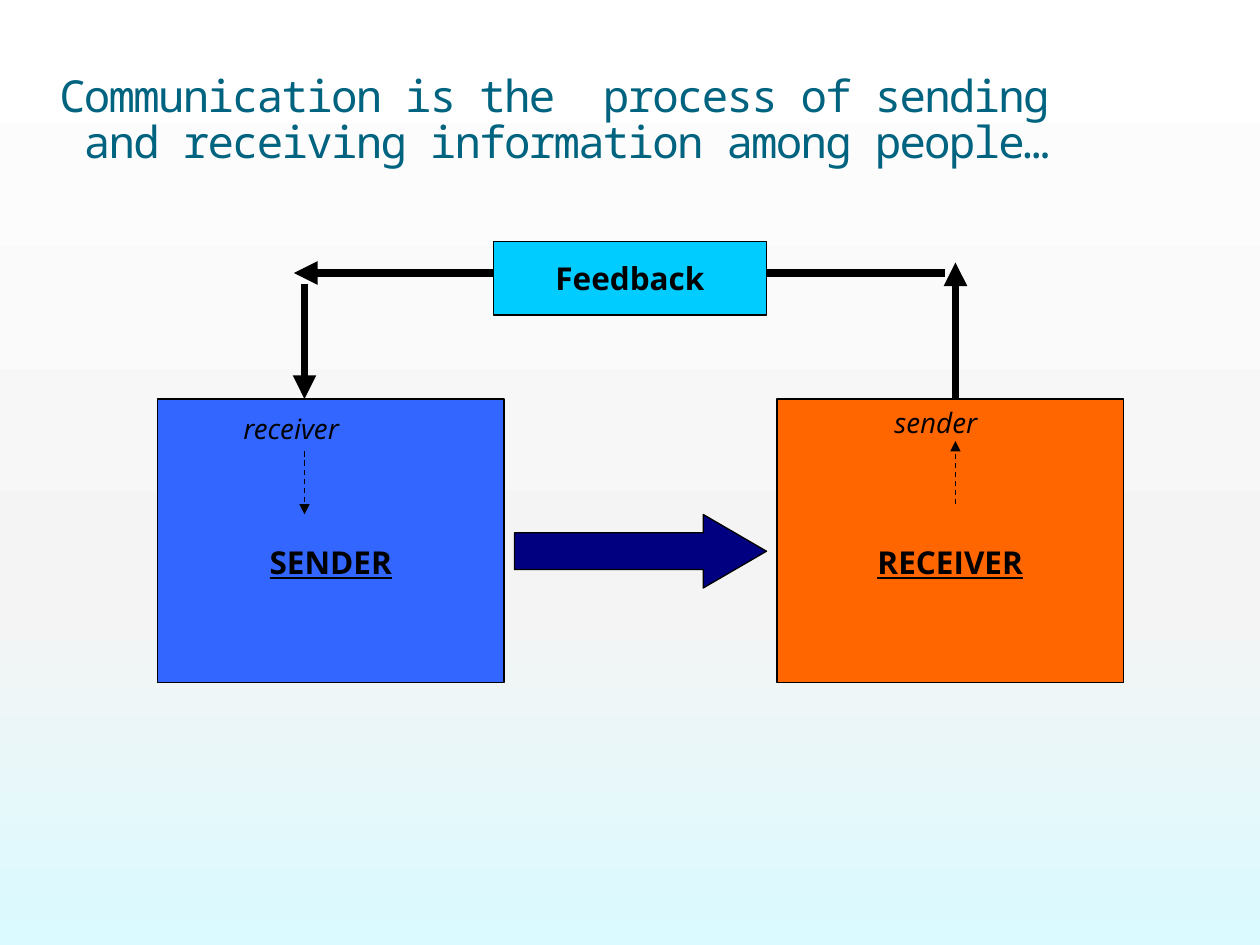
from copy import deepcopy

from pptx import Presentation
from pptx.dml.color import RGBColor
from pptx.enum.dml import MSO_LINE
from pptx.enum.shapes import MSO_CONNECTOR, MSO_SHAPE
from pptx.enum.text import MSO_ANCHOR, MSO_AUTO_SIZE, PP_ALIGN
from pptx.oxml.ns import qn
from pptx.util import Inches, Pt

RECT, RIGHT_ARROW = MSO_SHAPE.RECTANGLE, MSO_SHAPE.RIGHT_ARROW
STRAIGHT, DASH = MSO_CONNECTOR.STRAIGHT, MSO_LINE.DASH
CENTER = PP_ALIGN.CENTER
MIDDLE, BOTTOM = MSO_ANCHOR.MIDDLE, MSO_ANCHOR.BOTTOM
NO_FIT = MSO_AUTO_SIZE.NONE

BLACK = RGBColor(0x00, 0x00, 0x00)
TEAL = RGBColor(0x00, 0x63, 0x7F)
BLUE = RGBColor(0x33, 0x66, 0xFF)
ORANGE = RGBColor(0xFF, 0x66, 0x00)
NAVY = RGBColor(0x00, 0x00, 0x80)
CYAN = RGBColor(0x00, 0xCC, 0xFF)
BACKDROP = [(0, RGBColor(0xFF, 0xFF, 0xFF)),
            (0.65, RGBColor(0xF4, 0xF4, 0xF4)),
            (1, RGBColor(0xDA, 0xFA, 0xFF))]

TITLE_FONT, BODY_FONT = "Noto Sans Mono", "Open Sans"
CELL = Inches(1) / 12  # the slide is a grid of 120 columns by 90 rows
LEFT_LANE, RIGHT_LANE = 29, 91
BOX_TOP, BOX_W, BOX_H = 38, 33, 27


def grid(*cells):
    """Turn grid cells into lengths."""
    return [round(c * CELL) for c in cells]


def style_run(r, size, color=BLACK, font=BODY_FONT, bold=False, italic=False,
              underline=False):
    """Format one run."""
    f = r.font
    f.name, f.size, f.color.rgb = font, Pt(size), color
    f.bold, f.italic, f.underline = bold, italic, underline


def paint_background(s):
    """Fill the background from top to bottom."""
    fill = s.background.fill
    fill.gradient()
    fill.gradient_angle = 270
    stops = s.element.find(".//" + qn("a:gsLst"))
    stops.append(deepcopy(stops[-1]))
    for stop, (position, color) in zip(fill.gradient_stops, BACKDROP):
        stop.position, stop.color.rgb = position, color


def add_title(s, text):
    """Place the title at the bottom of its band."""
    sp = s.shapes.title
    sp.left, sp.top, sp.width, sp.height = grid(0, 0, 108, 16)
    tf = sp.text_frame
    tf.auto_size, tf.vertical_anchor, tf.word_wrap = NO_FIT, BOTTOM, True
    tf.margin_top = tf.margin_bottom = 0
    tf.text = text
    p = tf.paragraphs[0]
    p.alignment, p.line_spacing, p.space_before = CENTER, 0.87, Pt(0)
    for r in p.runs:
        style_run(r, 25.2, TEAL, TITLE_FONT)
        r.font._element.set("spc", "-100")


def add_block(s, kind, cells, fill, text="", underline=False, drop=0):
    """Add an outlined shape; drop adds space above its label."""
    sp = s.shapes.add_shape(kind, *grid(*cells))
    sp.shadow.inherit = False
    sp.fill.solid()
    sp.fill.fore_color.rgb = fill
    sp.line.color.rgb, sp.line.width = BLACK, Pt(0.75)
    if text:
        tf = sp.text_frame
        tf.vertical_anchor, tf.word_wrap = MIDDLE, False
        tf.margin_top = Inches(0.05 + drop)
        tf.text = text
        p = tf.paragraphs[0]
        p.alignment = CENTER
        style_run(p.runs[0], 18, bold=True, underline=underline)
    return sp


def add_role(s, text, left, top):
    """Add the italic name of a second role."""
    tf = s.shapes.add_textbox(*grid(left, top, 14, 4.4)).text_frame
    tf.word_wrap = True
    tf.text = text
    style_run(tf.paragraphs[0].runs[0], 16, italic=True)


def add_arrow(s, x1, y1, x2, y2, dashed=False):
    """Add a thick arrow, or a thin dashed one."""
    cx = s.shapes.add_connector(STRAIGHT, *grid(x1, y1, x2, y2))
    cx.line.color.rgb, cx.line.width = BLACK, Pt(0.75 if dashed else 4.5)
    if dashed:
        cx.line.dash_style = DASH
    ln = cx.line._get_or_add_ln()
    ln.append(ln.makeelement(qn("a:tailEnd"), {"type": "triangle"}))
    sp_pr = ln.getparent()
    sp_pr.append(sp_pr.makeelement(qn("a:effectLst"), {}))


def main():
    """Build the communication loop."""
    prs = Presentation()
    prs.slide_width, prs.slide_height = Inches(10), Inches(7.5)
    s = prs.slides.add_slide(prs.slide_layouts[5])
    paint_background(s)

    add_arrow(s, RIGHT_LANE, BOX_TOP + 1, RIGHT_LANE, 25)
    add_title(s, "Communication is the  process of sending \v"
                 "and receiving information among people…")
    for left, color, text in [(15, BLUE, "SENDER"), (74, ORANGE, "RECEIVER")]:
        add_block(s, RECT, (left, BOX_TOP, BOX_W, BOX_H), color, text,
                  underline=True, drop=0.34)
    message = add_block(s, RIGHT_ARROW, (49, 49, 24, 7), NAVY)
    message.adjustments[0], message.adjustments[1] = 0.5, 0.86

    add_arrow(s, 90, 26, 28, 26)
    add_arrow(s, LEFT_LANE, 27, LEFT_LANE, BOX_TOP)
    add_block(s, RECT, (47, 23, 26, 7), CYAN, "Feedback")

    add_role(s, "receiver", 22, 38.6)
    add_role(s, "sender", 84, BOX_TOP)
    add_arrow(s, RIGHT_LANE, 48, RIGHT_LANE, 42, dashed=True)
    add_arrow(s, LEFT_LANE, 43, LEFT_LANE, 49, dashed=True)
    prs.save("out.pptx")


main()
